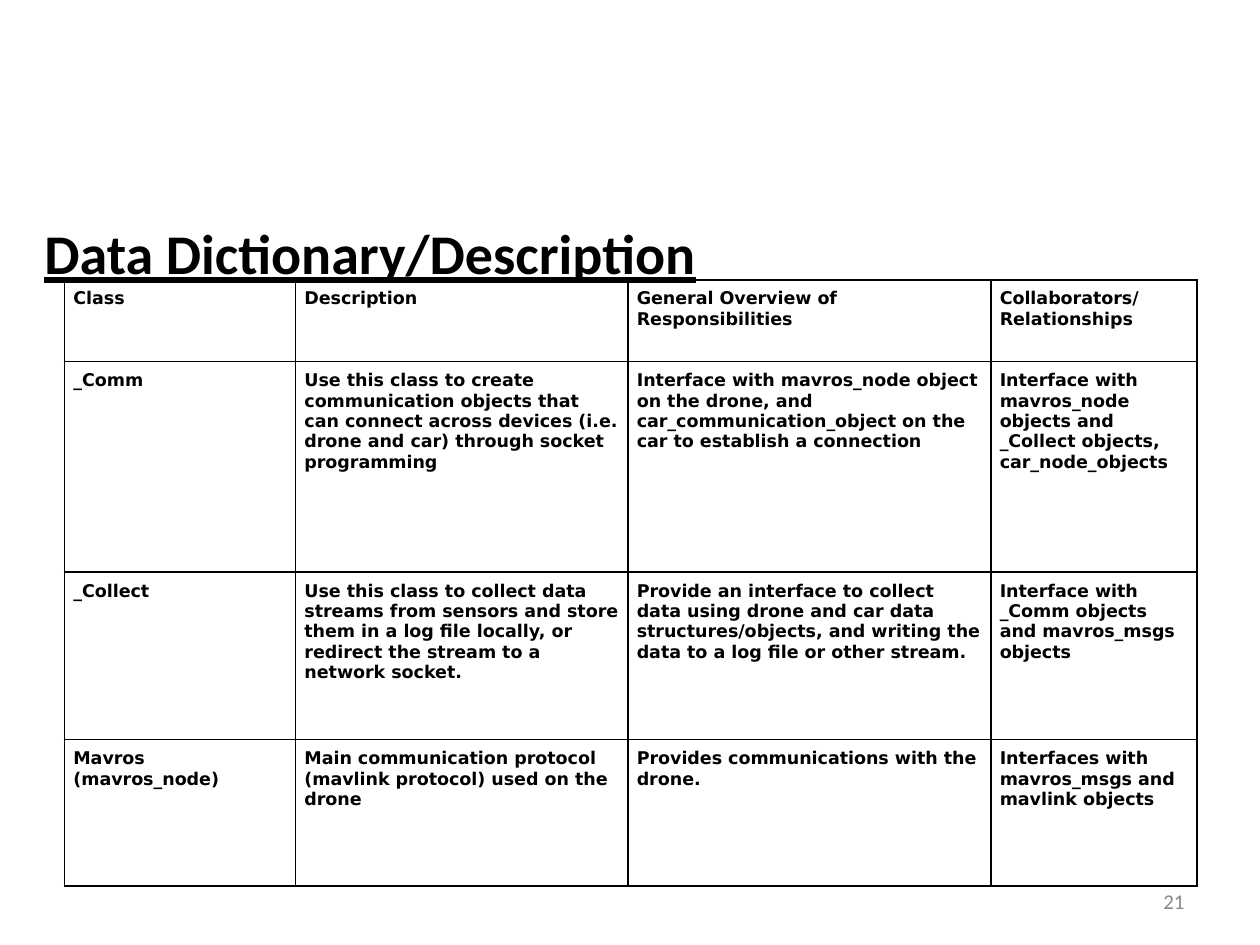
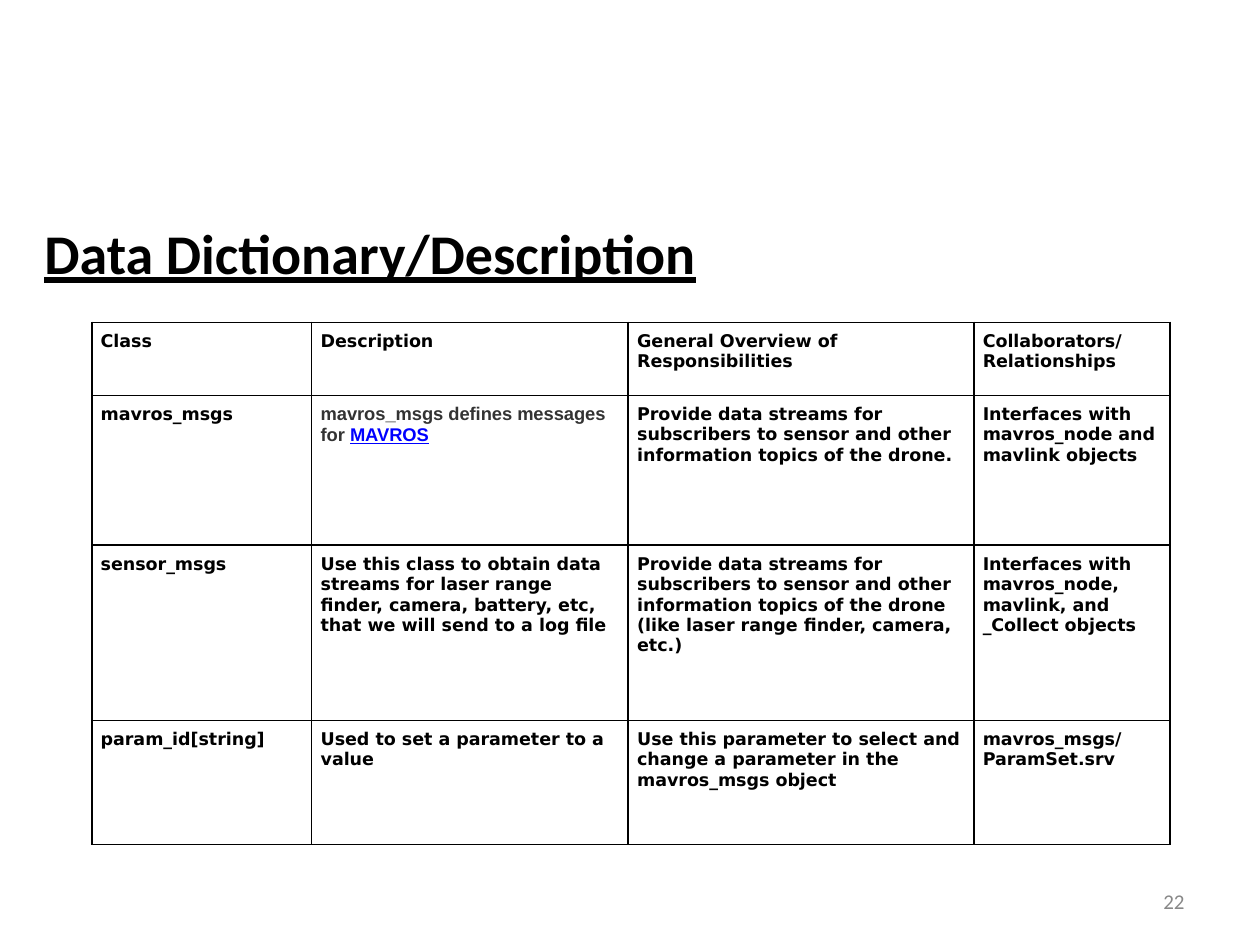
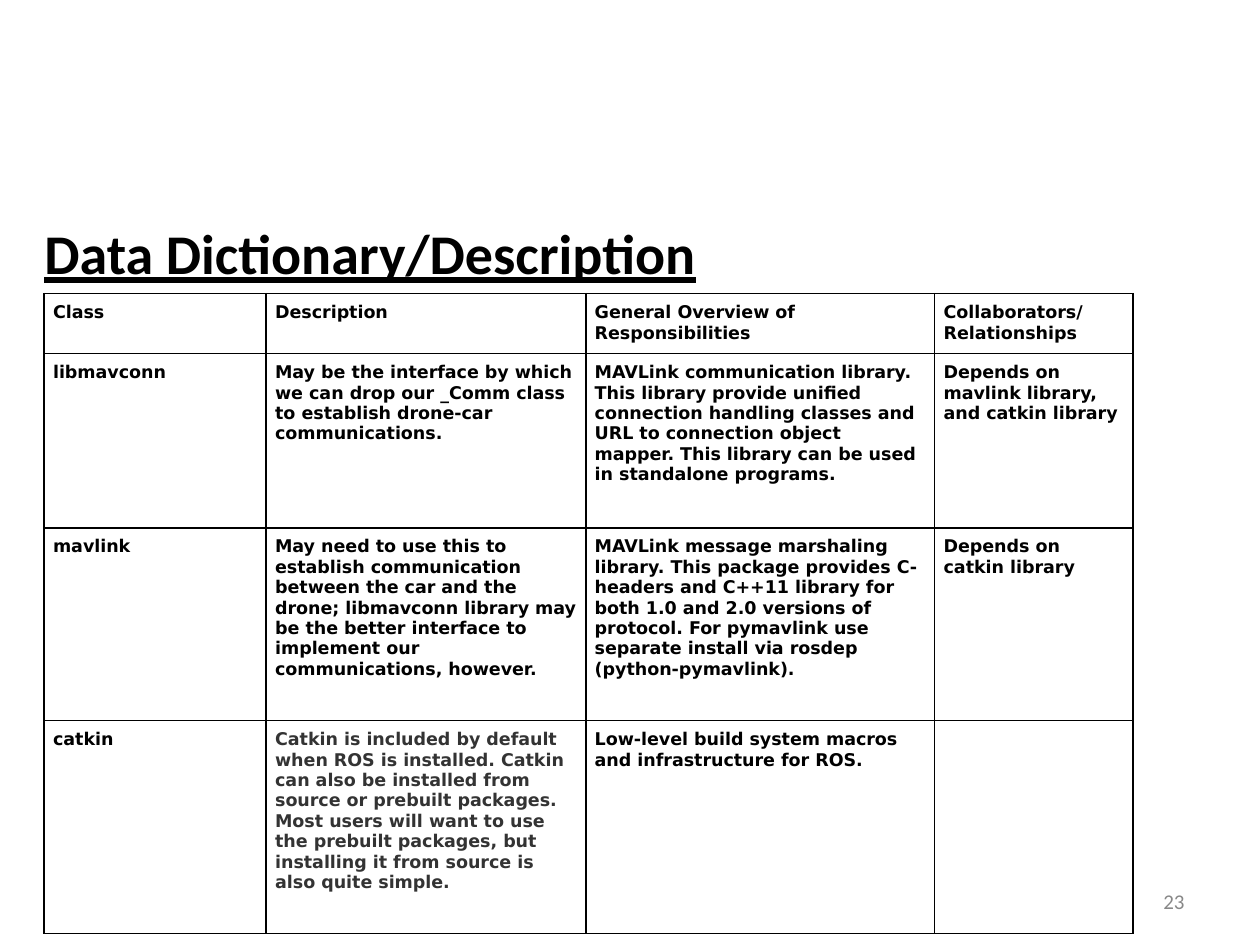
from lxml.etree import SubElement
from pptx import Presentation
from pptx.dml.color import RGBColor
from pptx.enum.text import MSO_ANCHOR as Anchor, MSO_AUTO_SIZE as AutoSize, PP_ALIGN as Align
from pptx.oxml.ns import qn
from pptx.util import Cm, Pt

COLOURS = {"ink": "000000", "grey": "333333", "number": "888888", "link": "0000FF"}
TITLE = "Data Dictionary/Description"
FIRST_NUMBER = 21
HEADER = ["Class", "Description", "General Overview of Responsibilities",
          "Collaborators/Relationships"]
COLUMN_SHARES = [0.204, 0.2935, 0.3205, 0.182]

# Style name: font, size, colour, bold, underline
STYLES = {
    "title": ("Calibri", 32, "ink", True, True),
    "number": ("Calibri", 12, "number", False, False),
    "cell": ("DejaVu Sans", 10, "ink", True, False),
    "quote": ("DejaVu Sans", 10, "grey", True, False),
    "web": ("Arial", 10.5, "grey", True, False),
    "web link": ("Arial", 10.5, "link", True, True),
}

# A cell is plain text, or a list of (text, style) spans. Lengths are centimetres.
TABLES = [
    {"left": 1.3, "top": 5.64, "width": 22.83, "heights": [1.65, 4.24, 3.38, 2.95], "rows": [
        ["_Comm",
         "Use this class to create communication objects that can connect across devices "
         "(i.e. drone and car) through socket programming",
         "Interface with mavros_node object on the drone, and car_communication_object on "
         "the car to establish a connection",
         "Interface with mavros_node objects and _Collect objects, car_node_objects"],
        ["_Collect",
         "Use this class to collect data streams from sensors and store them in a log file "
         "locally, or redirect the stream to a network socket.",
         "Provide an interface to collect data using drone and car data structures/objects, "
         "and writing the data to a log file or other stream.",
         "Interface with _Comm objects and mavros_msgs objects"],
        ["Mavros (mavros_node)",
         "Main communication protocol (mavlink protocol) used on the drone",
         "Provides communications with the drone.",
         "Interfaces with mavros_msgs and mavlink objects"],
    ]},
    {"left": 1.85, "top": 6.5, "width": 21.74, "heights": [1.47, 3.02, 3.53, 2.51], "rows": [
        ["mavros_msgs",
         [("mavros_msgs defines messages for ", "web"), ("MAVROS", "web link")],
         "Provide data streams for subscribers to sensor and other information topics of "
         "the drone.",
         "Interfaces with mavros_node and mavlink objects"],
        ["sensor_msgs",
         "Use this class to obtain data streams for laser range finder, camera, battery, "
         "etc, that we will send to a log file",
         "Provide data streams for subscribers to sensor and other information topics of "
         "the drone (like laser range finder, camera, etc.)",
         "Interfaces with mavros_node, mavlink, and _Collect objects"],
        ["param_id[string]",
         "Used to set a parameter to a value",
         "Use this parameter to select and change a parameter in the mavros_msgs object",
         "mavros_msgs/ParamSet.srv"],
    ]},
    {"left": 0.89, "top": 5.92, "width": 21.95, "heights": [1.12, 3.51, 3.89, 4.29], "rows": [
        ["libmavconn",
         "May be the interface by which we can drop our _Comm class to establish drone-car "
         "communications.",
         "MAVLink communication library. This library provide unified connection handling "
         "classes and URL to connection object mapper. This library can be used in "
         "standalone programs.",
         "Depends on mavlink library, and catkin library"],
        ["mavlink",
         "May need to use this to establish communication between the car and the drone; "
         "libmavconn library may be the better interface to implement our communications, "
         "however.",
         "MAVLink message marshaling library. This package provides C-headers and C++11 "
         "library for both 1.0 and 2.0 versions of protocol. For pymavlink use separate "
         "install via rosdep (python-pymavlink).",
         "Depends on catkin library"],
        ["catkin",
         [("Catkin is included by default when ROS is installed. Catkin can also be "
           "installed from source or prebuilt packages. Most users will want to use the "
           "prebuilt packages, but installing it from source is also quite simple.", "quote")],
         "Low-level build system macros and infrastructure for ROS.",
         ""],
    ]},
]


def colour(name):
    return RGBColor.from_string(COLOURS[name])


def write(para, spans):
    for text, style in spans:
        span = para.add_run()
        span.text = text
        font = span.font
        font.name, size, ink, font.bold, font.underline = STYLES[style]
        font.size = Pt(size)
        font.color.rgb = colour(ink)


def place(shape, left, top, width, height):
    shape.left, shape.top, shape.width, shape.height = map(Cm, (left, top, width, height))


def add_title(page):
    title = page.shapes.title
    place(title, 0.64, 4.22, 24.13, 13.67)
    frame = title.text_frame
    frame.auto_size = AutoSize.NONE
    frame.vertical_anchor = Anchor.TOP
    frame.margin_top = Cm(0.18)
    para = frame.paragraphs[0]
    para.alignment = Align.LEFT
    write(para, [(TITLE, "title")])


def add_number(page, number):
    box = page.shapes.add_textbox(Cm(18.21), Cm(17.65), Cm(5.92), Cm(1.02))
    frame = box.text_frame
    frame.word_wrap = True
    frame.vertical_anchor = Anchor.MIDDLE
    para = frame.paragraphs[0]
    para.alignment = Align.RIGHT
    write(para, [(str(number), "number")])


def add_borders(cell):
    properties = cell._tc.get_or_add_tcPr()
    for side in ("a:lnL", "a:lnR", "a:lnT", "a:lnB"):
        line = SubElement(properties, qn(side), w=str(Pt(1)))
        fill = SubElement(line, qn("a:solidFill"))
        SubElement(fill, qn("a:srgbClr"), val=COLOURS["ink"])


def fill_cell(cell, content):
    add_borders(cell)
    cell.fill.background()
    cell.margin_left = cell.margin_right = cell.margin_top = cell.margin_bottom = Cm(0.18)
    if content:
        spans = [(content, "cell")] if isinstance(content, str) else content
        write(cell.text_frame.paragraphs[0], spans)


def add_dictionary(page, data):
    rows = [HEADER] + data["rows"]
    frame = page.shapes.add_table(len(rows), len(HEADER), Cm(data["left"]), Cm(data["top"]),
                                  Cm(data["width"]), Cm(sum(data["heights"])))
    table = frame.table
    table.first_row = table.horz_banding = False
    for column, share in zip(table.columns, COLUMN_SHARES):
        column.width = Cm(data["width"] * share)
    for row, height, contents in zip(table.rows, data["heights"], rows):
        row.height = Cm(height)
        for cell, content in zip(row.cells, contents):
            fill_cell(cell, content)


def main():
    deck = Presentation()
    deck.slide_width, deck.slide_height = Cm(25.4), Cm(19.05)
    title_only = deck.slide_layouts[5]
    for number, data in enumerate(TABLES, FIRST_NUMBER):
        page = deck.slides.add_slide(title_only)
        add_title(page)
        add_number(page, number)
        add_dictionary(page, data)
    deck.save("out.pptx")


if __name__ == "__main__":
    main()
